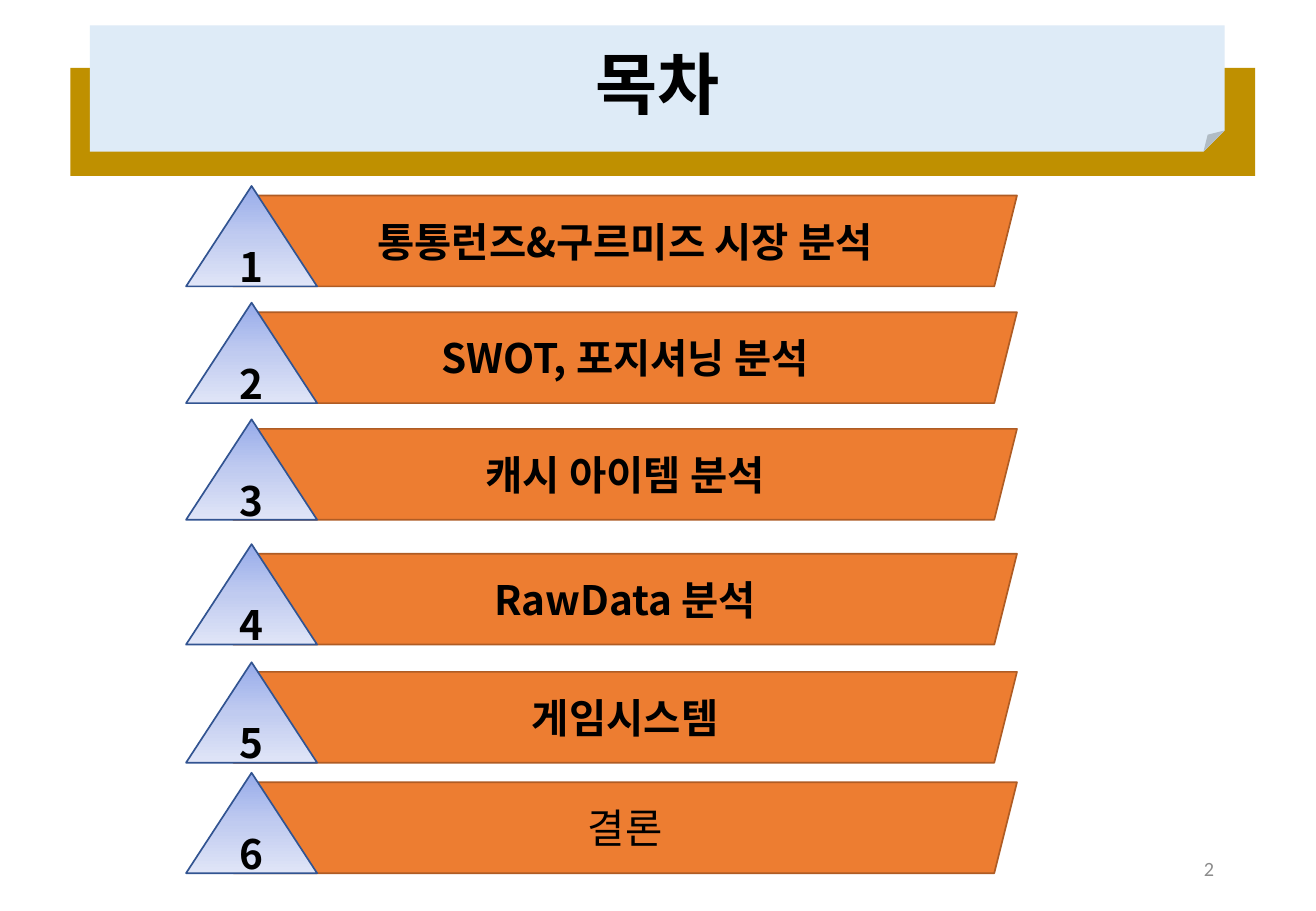
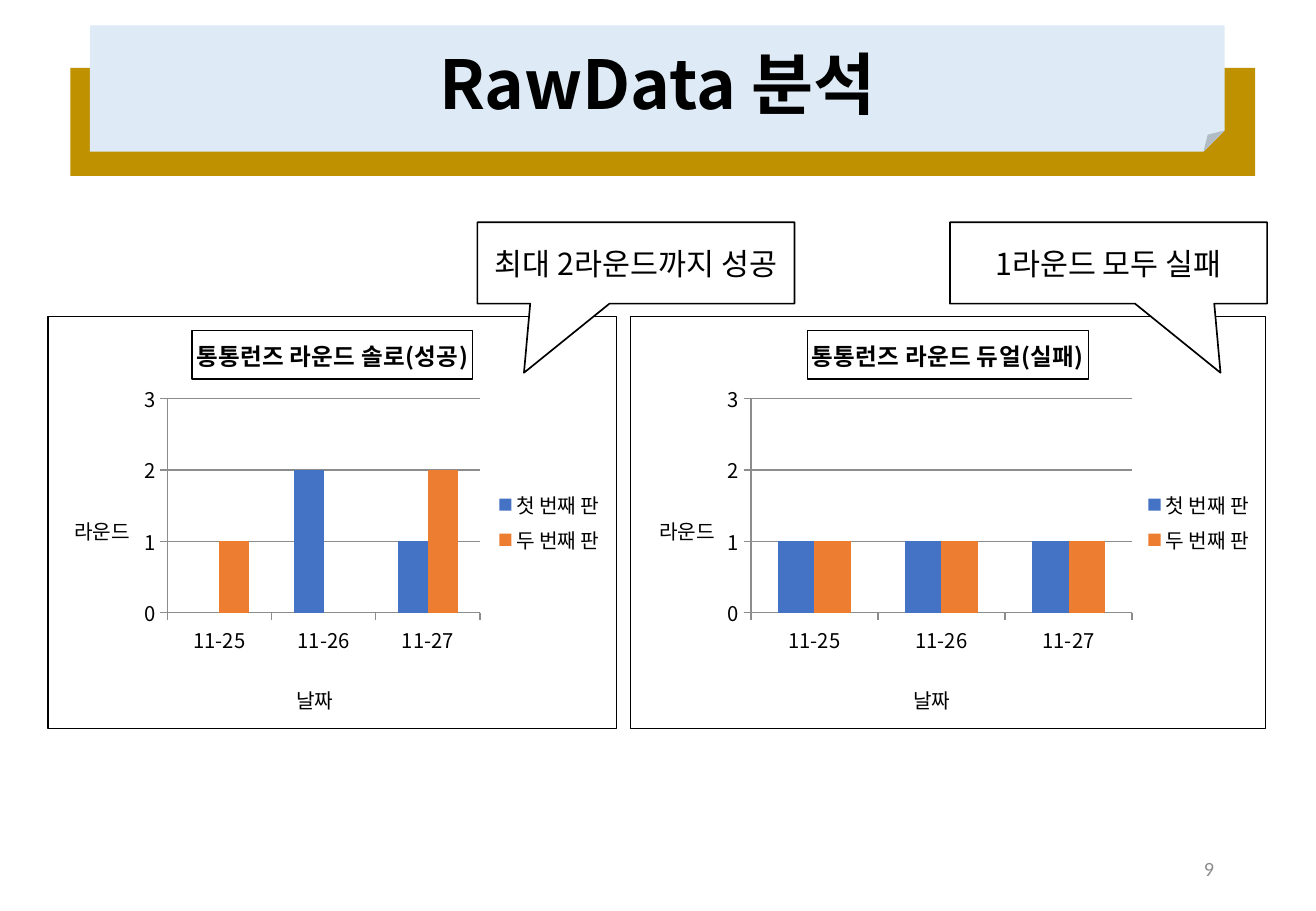
from copy import deepcopy

from lxml.etree import SubElement
from pptx import Presentation
from pptx.chart.data import CategoryChartData
from pptx.dml.color import RGBColor
from pptx.enum.chart import XL_CHART_TYPE, XL_LEGEND_POSITION, XL_TICK_MARK
from pptx.enum.shapes import MSO_SHAPE
from pptx.enum.text import MSO_ANCHOR, PP_ALIGN
from pptx.oxml import parse_xml
from pptx.oxml.ns import nsdecls, qn
from pptx.util import Cm, Pt

BLACK = RGBColor(0x00, 0x00, 0x00)
WHITE = RGBColor(0xFF, 0xFF, 0xFF)
GRAY = RGBColor(0x8C, 0x8C, 0x8C)
GOLD = RGBColor(0xBF, 0x90, 0x00)
PALE = RGBColor(0xDE, 0xEB, 0xF7)
BLUE = RGBColor(0x44, 0x72, 0xC4)
NAVY = RGBColor(0x32, 0x54, 0x91)
ORANGE = RGBColor(0xED, 0x7D, 0x31)
RUST = RGBColor(0xAF, 0x5C, 0x24)
SHADES = [RGBColor(0x96, 0xAB, 0xEA), RGBColor(0xC0, 0xCB, 0xF0),
          RGBColor(0xE0, 0xE5, 0xF7)]
KOREAN = "Noto Sans CJK KR"
LATIN = "Calibri"

# Bar top in cm, text, font
TOPICS = [
    (4.09, "통통런즈&구르미즈 시장 분석", KOREAN),
    (6.53, "SWOT, 포지셔닝 분석", KOREAN),
    (8.97, "캐시 아이템 분석", KOREAN),
    (11.58, "RawData 분석", KOREAN),
    (14.05, "게임시스템", KOREAN),
    (16.36, "결론", LATIN),
]


def style(font, size, color=BLACK, bold=False, name=KOREAN):
    """Set a font, for Latin and for Korean letters alike."""
    font.size, font.bold, font.name = Pt(size), bold, name
    font.color.rgb = color
    if name == KOREAN:
        SubElement(font._rPr, qn("a:ea")).set("typeface", name)


def place(part, x, y, w=None, h=None):
    """Fix a chart part at fractions of the chart area."""
    layout = part.find(qn("c:layout"))
    if layout is None:
        layout = parse_xml(f"<c:layout {nsdecls('c')}/>")
        part.insert(0 if part.find(qn("c:tx")) is None else 1, layout)
    manual = SubElement(layout, qn("c:manualLayout"))
    items = [("xMode", "edge"), ("yMode", "edge"), ("x", x), ("y", y)]
    if w:
        items = [("layoutTarget", "inner"), *items, ("w", w), ("h", h)]
    for tag, val in items:
        SubElement(manual, qn(f"c:{tag}")).set("val", str(val))


class Deck:
    def __init__(self):
        self.prs = Presentation()
        self.prs.slide_width, self.prs.slide_height = Cm(27.51), Cm(19.05)
        self.base = self.prs.slide_layouts[5]
        self.slide = None

    def page(self, title, number):
        first = self.slide is None
        self.slide = self.prs.slides.add_slide(self.base)
        if first:
            self.bands()
        head = self.slide.shapes.title
        head.left, head.top, head.width, head.height = (
            Cm(1.88), Cm(0), Cm(23.72), Cm(3.68))
        self.label(head, title, 40, True).line_spacing = 0.9
        box = self.slide.shapes.add_textbox(
            Cm(19.43), Cm(17.65), Cm(6.2), Cm(1.02))
        self.label(box, number, 12, False, LATIN, GRAY, PP_ALIGN.RIGHT)

    def bands(self):
        """Draw the title bands and move them into the layout."""
        for kind, box, fill in [
            (MSO_SHAPE.RECTANGLE, (1.47, 1.42, 24.77, 2.26), GOLD),
            (MSO_SHAPE.FOLDED_CORNER, (1.88, 0.53, 23.72, 2.64), PALE),
        ]:
            band = self.shape(kind, box, fill)
            self.base.shapes._spTree.append(band._element)

    def label(self, shape, text, size, bold=False, name=KOREAN,
              color=BLACK, align=PP_ALIGN.CENTER, anchor=MSO_ANCHOR.MIDDLE):
        frame = shape.text_frame
        frame.word_wrap, frame.vertical_anchor = True, anchor
        para = frame.paragraphs[0]
        para.text, para.alignment = text, align
        style(para.font, size, color, bold, name)
        return para

    def shape(self, kind, box, fill=None, line=None):
        shape = self.slide.shapes.add_shape(kind, *map(Cm, box))
        shape.shadow.inherit = False
        if fill is not None:
            shape.fill.solid()
            shape.fill.fore_color.rgb = fill
        if line is None:
            shape.line.fill.background()
        else:
            shape.line.color.rgb = line
            shape.line.width = Pt(1)
        return shape

    def topic(self, number, top, text, name):
        bar = self.shape(MSO_SHAPE.PARALLELOGRAM,
                         (4.88, top, 16.38, 1.9), ORANGE, RUST)
        self.label(bar, text, 24, name == KOREAN, name)
        peak = self.shape(MSO_SHAPE.ISOSCELES_TRIANGLE,
                          (3.89, top - 0.2, 2.74, 2.1), line=NAVY)
        self.shade(peak)
        self.label(peak, str(number), 24, True, anchor=MSO_ANCHOR.TOP)

    def shade(self, shape):
        """Fill with the three shades from top to bottom."""
        shape.fill.gradient()
        shape.fill.gradient_angle = 270
        stop = shape._element.spPr.find(".//" + qn("a:gs"))
        stop.addnext(deepcopy(stop))
        for i, (stop, color) in enumerate(
                zip(shape.fill.gradient_stops, SHADES)):
            stop.position = i / 2
            stop.color.rgb = color

    def callout(self, left, text, flip=False):
        note = self.shape(MSO_SHAPE.RECTANGULAR_CALLOUT,
                          (left, 4.65, 6.63, 1.7), WHITE, BLACK)
        note.adjustments[0], note.adjustments[1] = -0.353, 1.351
        if flip:
            note._element.spPr.find(qn("a:xfrm")).set("flipH", "1")
        self.label(note, text, 18)

    def chart(self, left, width, title, rows, plot, ytitle, xtitle):
        """Add a column chart; the last three place its parts."""
        data = CategoryChartData()
        data.categories = ["11-25", "11-26", "11-27"]
        for name, vals in zip(["첫 번째 판", "두 번째 판"], rows):
            data.add_series(name, vals)
        chart = self.slide.shapes.add_chart(
            XL_CHART_TYPE.COLUMN_CLUSTERED,
            Cm(left), Cm(6.6), Cm(width), Cm(8.64), data).chart
        style(chart.font, 12)
        self.frame(chart)
        self.name(chart.chart_title, title, 14, True)
        line = chart.chart_title.format.line
        line.color.rgb, line.width = BLACK, Pt(0.75)
        chart.has_legend = True
        chart.legend.position = XL_LEGEND_POSITION.RIGHT
        chart.legend.include_in_layout = False
        bars = chart.plots[0]
        bars.gap_width, bars.overlap = 150, 0
        bars.vary_by_categories = False
        for series, color in zip(bars.series, [BLUE, ORANGE]):
            series.format.fill.solid()
            series.format.fill.fore_color.rgb = color
        rise = chart.value_axis
        rise.minimum_scale, rise.maximum_scale, rise.major_unit = 0, 3, 1
        rise.has_major_gridlines = True
        self.thin(rise.major_gridlines)
        for axis, text, spot in [(rise, "라운드", ytitle),
                                 (chart.category_axis, "날짜", xtitle)]:
            axis.major_tick_mark = XL_TICK_MARK.OUTSIDE
            axis.minor_tick_mark = XL_TICK_MARK.NONE
            self.thin(axis)
            self.name(axis.axis_title, text, 12)
            axis.axis_title.text_frame._txBody.bodyPr.set("rot", "0")
            place(axis.axis_title._element, *spot)
        place(chart._chartSpace.chart.plotArea, *plot)

    def name(self, title, text, size, bold=False):
        """Set the text of a chart or axis title."""
        para = title.text_frame.paragraphs[0]
        para.text = text
        style(para.font, size, bold=bold)

    def thin(self, part):
        part.format.line.color.rgb = GRAY
        part.format.line.width = Pt(0.75)

    def frame(self, chart):
        """Give the chart area a white fill and a black border."""
        chart._chartSpace.chart.addnext(parse_xml(
            f"<c:spPr {nsdecls('c', 'a')}>"
            f'<a:solidFill><a:srgbClr val="{WHITE}"/></a:solidFill>'
            f'<a:ln w="{Pt(0.75)}"><a:solidFill><a:srgbClr val="{BLACK}"/>'
            "</a:solidFill></a:ln></c:spPr>"))


def main():
    deck = Deck()
    deck.page("목차", "2")
    for number, topic in enumerate(TOPICS, 1):
        deck.topic(number, *topic)

    deck.page("RawData 분석", "9")
    deck.chart(0.99, 11.91, "통통런즈 라운드 솔로(성공)",
               [(None, 2, 1), (1, None, 2)],
               (0.21, 0.2, 0.55, 0.52), (0.04, 0.47), (0.43, 0.88))
    deck.chart(13.16, 13.31, "통통런즈 라운드 듀얼(실패)",
               [(1, 1, 1), (1, 1, 1)],
               (0.19, 0.2, 0.6, 0.52), (0.04, 0.47), (0.44, 0.88))
    deck.callout(9.98, "최대 2라운드까지 성공")
    deck.callout(19.86, "1라운드 모두 실패", flip=True)
    deck.prs.save("out.pptx")


if __name__ == "__main__":
    main()
